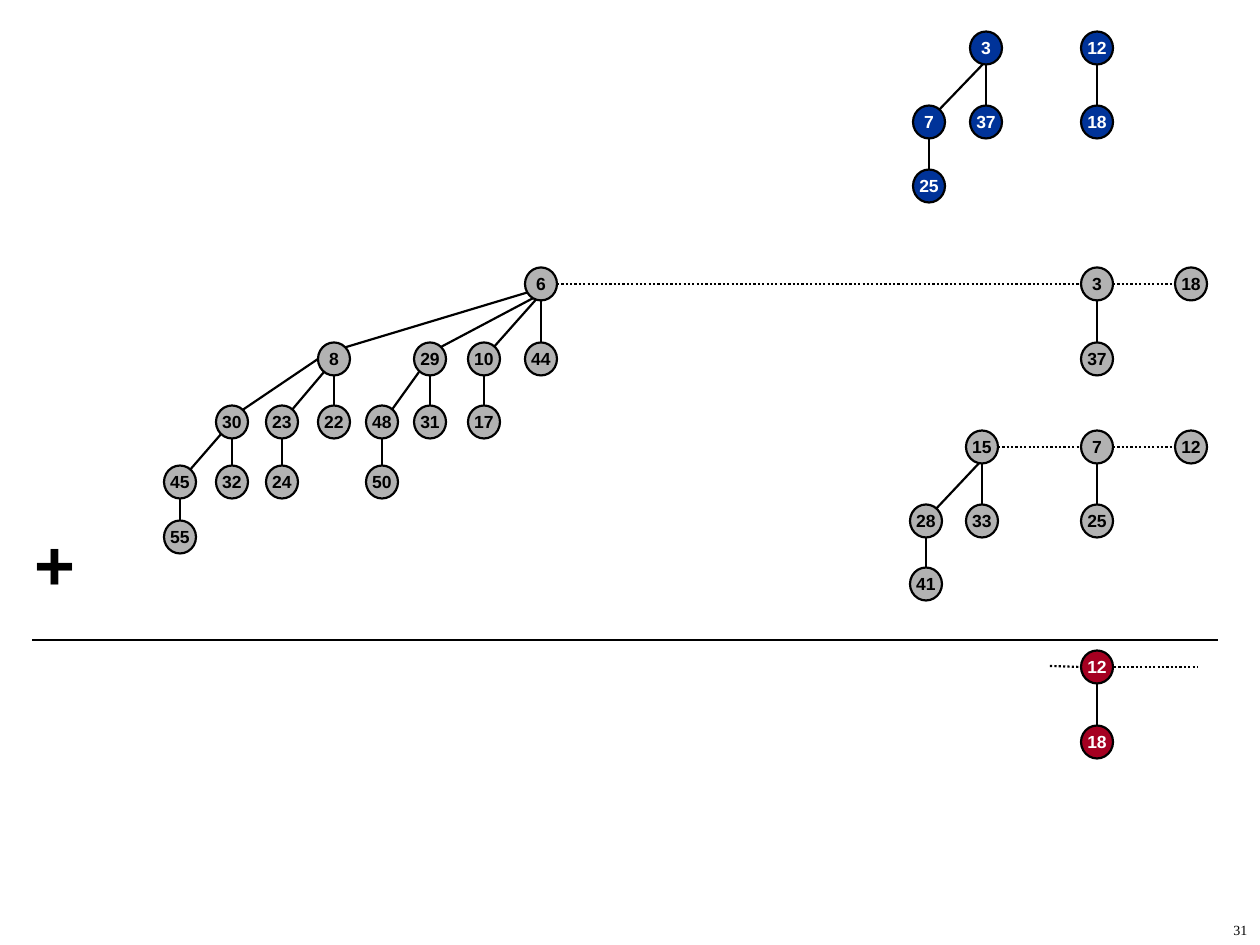
from dataclasses import dataclass

from pptx import Presentation
from pptx.dml.color import RGBColor
from pptx.enum.dml import MSO_LINE
from pptx.enum.shapes import MSO_CONNECTOR, MSO_SHAPE
from pptx.enum.text import MSO_ANCHOR, MSO_AUTO_SIZE, PP_ALIGN
from pptx.oxml.ns import qn
from pptx.util import Emu, Pt

STRAIGHT = MSO_CONNECTOR.STRAIGHT
OVAL = MSO_SHAPE.OVAL
DOTTED = MSO_LINE.ROUND_DOT
MIDDLE = MSO_ANCHOR.MIDDLE
TOP = MSO_ANCHOR.TOP
CENTER = PP_ALIGN.CENTER
RIGHT = PP_ALIGN.RIGHT
GROW = MSO_AUTO_SIZE.SHAPE_TO_FIT_TEXT
NO_FIT = MSO_AUTO_SIZE.NONE

EMU_PER_PX = 914400 / 126
NODE_W, NODE_H = 32, 33


@dataclass(frozen=True)
class Theme:
    black: RGBColor = RGBColor(0x00, 0x00, 0x00)
    white: RGBColor = RGBColor(0xFF, 0xFF, 0xFF)
    gray: RGBColor = RGBColor(0xB2, 0xB2, 0xB2)
    blue: RGBColor = RGBColor(0x00, 0x33, 0x99)
    red: RGBColor = RGBColor(0xA5, 0x00, 0x21)
    sans: str = "Arial"
    serif: str = "Times New Roman"
    node_size: Pt = Pt(10)
    plus_size: Pt = Pt(40)
    number_size: Pt = Pt(8)
    line: Pt = Pt(1.25)


THEME = Theme()

# Each heap: row centre y -> {key: centre x}
ADDEND_ROWS = {
    284: {6: 541, 3: 1097, 18: 1191},
    359: {8: 334, 29: 430, 10: 484, 44: 541, 37: 1097},
    422: {30: 232, 23: 282, 22: 334, 48: 382, 31: 430, 17: 484},
    482: {45: 180, 32: 232, 24: 282, 50: 382},
    537: {55: 180},
    447: {15: 982, 7: 1097, 12: 1191},
    521: {28: 926, 33: 982, 25: 1097},
    584: {41: 926},
}
CARRY_ROWS = {
    48: {3: 986, 12: 1097},
    122: {7: 929, 37: 986, 18: 1097},
    186: {25: 929},
}
SUM_ROWS = {667: {12: 1097}, 742: {18: 1097}}

# Parent -> children; a child straight below its parent gets a vertical edge
ADDEND_TREE = {
    6: [8, 29, 10, 44], 8: [30, 23, 22], 29: [48, 31], 10: [17],
    30: [45, 32], 23: [24], 48: [50], 45: [55], 3: [37],
    15: [28, 33], 28: [41], 7: [25],
}
CARRY_TREE = {3: [7, 37], 7: [25], 12: [18]}
SUM_TREE = {12: [18]}
ROOT_LINKS = [(6, 3), (3, 18), (15, 7), (7, 12)]

# Where sloping edges meet the parent, relative to its centre
PARENT_ENDS = {6: (0, 10), 8: (-10, 13), 29: (-11, 13), 30: (-10, 11)}
PARENT_ENDS_BY_CHILD = {8: (-2, 5), 30: (-16, 0)}
ROOT_END = (1, 12)


def px(value):
    return Emu(round(value * EMU_PER_PX))


def add_line(page, start, end, dotted=False):
    line = page.shapes.add_connector(
        STRAIGHT, *(px(value) for value in (*start, *end)))
    line.line.color.rgb = THEME.black
    line.line.width = THEME.line
    if dotted:
        line.line.dash_style = DOTTED
    properties = line._element.spPr
    properties.append(properties.makeelement(qn("a:effectLst"), {}))


def write(shape, text, font, size, color, align, anchor=MIDDLE, bold=True):
    frame = shape.text_frame
    frame.vertical_anchor = anchor
    para = frame.paragraphs[0]
    para.text = text
    para.alignment = align
    para.font.name = font
    para.font.size = size
    para.font.bold = bold
    para.font.color.rgb = color
    return frame


def add_node(page, key, center, fill, color):
    x, y = center
    node = page.shapes.add_shape(
        OVAL, px(x - NODE_W / 2), px(y - NODE_H / 2), px(NODE_W), px(NODE_H))
    node.shadow.inherit = False
    node.fill.solid()
    node.fill.fore_color.rgb = fill
    node.line.color.rgb = THEME.black
    node.line.width = THEME.line
    frame = write(node, str(key), THEME.sans, THEME.node_size, color, CENTER)
    frame.word_wrap = False


def add_edge(page, centers, parent, child):
    (px_x, px_y), (child_x, child_y) = centers[parent], centers[child]
    if px_x == child_x:
        start = (child_x, child_y - NODE_H / 2)
        end = (px_x, px_y + NODE_H / 2)
    else:
        dx, dy = PARENT_ENDS_BY_CHILD.get(
            child, PARENT_ENDS.get(parent, ROOT_END))
        start = (child_x + 9, child_y - 11)
        end = (px_x + dx, px_y + dy)
    add_line(page, start, end)


def add_heap(page, rows, tree, fill, color, links=()):
    """Draw root links and edges first, so that the nodes cover their ends."""
    centers = {key: (x, y) for y, row in rows.items() for key, x in row.items()}
    for left, right in links:
        (left_x, y), (right_x, _) = centers[left], centers[right]
        add_line(page, (left_x + NODE_W / 2, y), (right_x - NODE_W / 2, y), True)
    for parent, children in tree.items():
        for child in children:
            add_edge(page, centers, parent, child)
    for key, center in centers.items():
        add_node(page, key, center, fill, color)


def add_text(page, area, text, font, size, align, anchor, bold, fit):
    box = page.shapes.add_textbox(*(px(value) for value in area))
    frame = write(box, text, font, size, THEME.black, align, anchor, bold)
    frame.word_wrap = True
    frame.auto_size = fit


def main():
    deck = Presentation()
    deck.slide_width, deck.slide_height = px(1260), px(945)
    page = deck.slides.add_slide(deck.slide_layouts[6])

    add_heap(page, CARRY_ROWS, CARRY_TREE, THEME.blue, THEME.white)
    add_heap(page, ADDEND_ROWS, ADDEND_TREE, THEME.gray, THEME.black, ROOT_LINKS)
    add_text(page, (21, 514, 68, 97), "+", THEME.sans, THEME.plus_size,
             CENTER, TOP, True, GROW)
    add_line(page, (1218, 640), (32, 640))
    add_line(page, (1050, 666), (1080, 667), True)
    add_line(page, (1114, 667), (1197, 667), True)
    add_heap(page, SUM_ROWS, SUM_TREE, THEME.red, THEME.white)
    add_text(page, (998, 914, 262, 31), "31", THEME.serif, THEME.number_size,
             RIGHT, MIDDLE, False, NO_FIT)
    deck.save("out.pptx")


if __name__ == "__main__":
    main()
